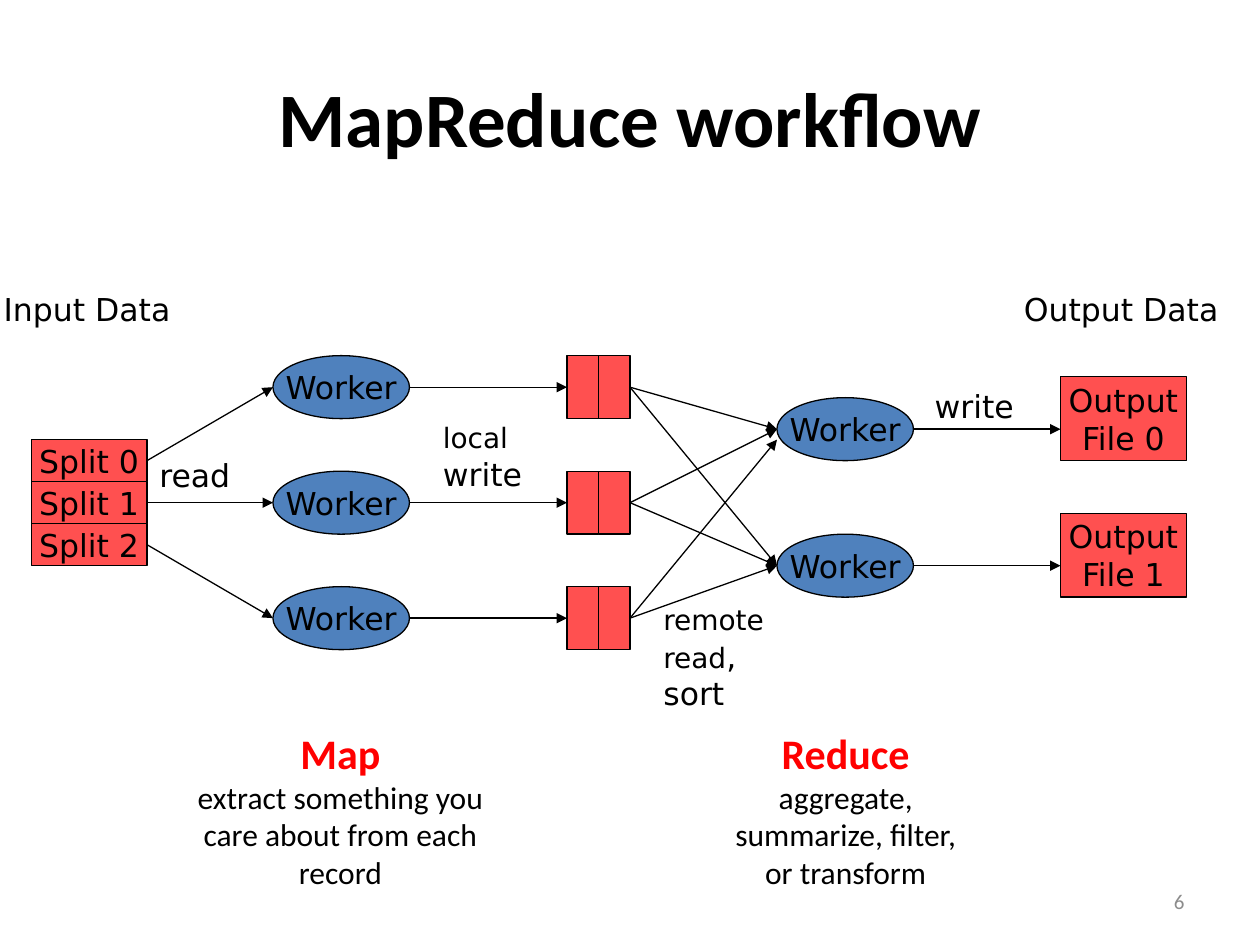
from collections import namedtuple

from lxml.etree import SubElement
from pptx import Presentation
from pptx.dml.color import RGBColor
from pptx.enum.shapes import MSO_CONNECTOR as Connector, MSO_SHAPE as Shape
from pptx.enum.text import MSO_ANCHOR as Anchor, MSO_AUTO_SIZE as AutoSize, PP_ALIGN as Align
from pptx.oxml.ns import qn
from pptx.util import Pt

Box = namedtuple("Box", "left top width height")
BLACK, RED, BLUE, SALMON, GRAY = "000000", "FF0000", "4F81BD", "FF5050", "8C8C8C"
DIAGRAM_FONT, TEXT_FONT = "DejaVu Sans", "Calibri"
LEFT_SIDE, RIGHT_SIDE = 1, 3


def paint(target, color):
    if hasattr(target, "solid"):
        target.solid()
        target.fore_color.rgb = RGBColor.from_string(color)
    else:
        target.color.rgb = RGBColor.from_string(color)


def style(run, size, color=BLACK, font=DIAGRAM_FONT, bold=False):
    run.font.size = Pt(size)
    run.font.name = font
    run.font.bold = bold
    paint(run.font, color)


def add_node(slide, kind, box, fill, caption=""):
    node = slide.shapes.add_shape(kind, *map(Pt, box))
    node.shadow.inherit = False
    paint(node.fill, fill)
    paint(node.line, BLACK)
    node.line.width = Pt(0.75)
    frame = node.text_frame
    frame.text = caption
    frame.word_wrap = False
    frame.vertical_anchor = Anchor.MIDDLE
    for paragraph in frame.paragraphs:
        paragraph.alignment = Align.CENTER
        for run in paragraph.runs:
            style(run, 18)
    return node


def add_text(slide, box, lines, font=DIAGRAM_FONT, align=Align.LEFT, wrap=False):
    frame = slide.shapes.add_textbox(*map(Pt, box)).text_frame
    frame.word_wrap = wrap
    frame.auto_size = AutoSize.SHAPE_TO_FIT_TEXT
    for index, pieces in enumerate(lines):
        paragraph = frame.add_paragraph() if index else frame.paragraphs[0]
        paragraph.alignment = align
        for words, size, color, bold in pieces:
            run = paragraph.add_run()
            run.text = words
            style(run, size, color, font, bold)
    return frame


def plain(words, size=18, color=BLACK):
    return words, size, color, False


def add_arrow(slide, start, end, source=None, target=None):
    arrow = slide.shapes.add_connector(Connector.STRAIGHT, *map(Pt, (*start, *end)))
    if source is not None:
        arrow.begin_connect(source, RIGHT_SIDE)
    if target is not None:
        arrow.end_connect(target, LEFT_SIDE)
    paint(arrow.line, BLACK)
    arrow.line.width = Pt(0.75)
    properties = arrow._element.spPr
    SubElement(properties.find(qn("a:ln")), qn("a:tailEnd"), type="triangle")
    SubElement(properties, qn("a:effectLst"))


def left_middle(shape):
    return shape.left.pt, (shape.top + shape.height / 2) / Pt(1)


def right_middle(shape):
    left, middle = left_middle(shape)
    return left + shape.width.pt, middle


def add_title(slide, box):
    title = slide.shapes.title
    title.left, title.top, title.width, title.height = map(Pt, box)
    title.text_frame.text = "MapReduce workflow"
    title.text_frame.vertical_anchor = Anchor.MIDDLE
    paragraph = title.text_frame.paragraphs[0]
    paragraph.alignment = Align.CENTER
    style(paragraph.runs[0], 44, font=TEXT_FONT, bold=True)


def add_splits(slide, box):
    height = box.height / 3
    return [
        add_node(slide, Shape.RECTANGLE,
                 Box(box.left, box.top + row * height, box.width, height),
                 SALMON, f"Split {row}")
        for row in range(3)
    ]


def add_workers(slide, box, count):
    height = 36
    pitch = (box.height - height) / (count - 1)
    return [
        add_node(slide, Shape.OVAL,
                 Box(box.left, box.top + row * pitch, box.width, height),
                 BLUE, "Worker")
        for row in range(count)
    ]


def add_partitions(slide, box):
    height = 36
    pitch = (box.height - height) / 2
    width = box.width / 2
    return [
        [add_node(slide, Shape.RECTANGLE,
                  Box(box.left + column * width, box.top + row * pitch, width, height),
                  SALMON)
         for column in range(2)]
        for row in range(3)
    ]


def add_outputs(slide, box):
    height = 48
    return [
        add_node(slide, Shape.RECTANGLE,
                 Box(box.left, box.top + row * (box.height - height), box.width, height),
                 SALMON, f"Output\nFile {row}")
        for row in range(2)
    ]


def add_flows(slide, splits, mappers, partitions, reducers, outputs):
    for split, mapper, (first, last) in zip(splits, mappers, partitions):
        add_arrow(slide, right_middle(split), left_middle(mapper), source=split)
        add_arrow(slide, right_middle(mapper), left_middle(first), target=first)
        for reducer in reducers:
            x, y = left_middle(reducer)
            steep_rise = mapper is mappers[-1] and reducer is reducers[0]
            add_arrow(slide, right_middle(last), (x, y + 6 * steep_rise), source=last)
    for reducer, output in zip(reducers, outputs):
        x, y = right_middle(reducer)
        add_arrow(slide, (x, y), (output.left.pt, y))


def add_labels(slide, box):
    labels = [
        (Box(-5, 0, 112, 29), [[plain("Input Data")]]),
        (Box(578, 0, 127, 29), [[plain("Output Data")]]),
        (Box(84, 95, 55, 29), [[plain("read")]]),
        (Box(246, 75, 60, 48), [[plain("local", 16)], [plain("write")]]),
        (Box(372, 179, 73, 71),
         [[plain("remote", 16)], [plain("read", 16), plain(",")], [plain("sort")]]),
        (Box(527, 55.5, 60, 29), [[plain("write")]]),
    ]
    for place, lines in labels:
        moved = place._replace(left=box.left + place.left, top=box.top + place.top)
        add_text(slide, moved, lines)


def add_phase_note(slide, box, lines):
    add_text(slide, box, lines, TEXT_FONT, Align.CENTER, wrap=True)


def add_page_number(slide, box):
    frame = add_text(slide, box, [[plain("6", 12, GRAY)]], TEXT_FONT, Align.RIGHT, wrap=True)
    frame.auto_size = AutoSize.NONE
    frame.vertical_anchor = Anchor.MIDDLE


def main():
    deck = Presentation()
    deck.slide_width, deck.slide_height = Pt(720), Pt(540)
    slide = deck.slides.add_slide(deck.slide_layouts[5])
    add_title(slide, Box(36, 21.6, 648, 90))
    splits = add_splits(slide, Box(18, 251.25, 66, 72))
    mappers = add_workers(slide, Box(156, 203.25, 78, 168), 3)
    partitions = add_partitions(slide, Box(324, 203.25, 36, 168))
    reducers = add_workers(slide, Box(444, 227.25, 78, 114), 2)
    outputs = add_outputs(slide, Box(606, 215.25, 72, 126))
    add_flows(slide, splits, mappers, partitions, reducers, outputs)
    add_labels(slide, Box(0, 162, 720, 250))
    add_phase_note(slide, Box(98.5, 412, 192, 101.5), [
        [("Map", 24, RED, True)],
        [plain("extract something you care about from each record")],
    ])
    add_phase_note(slide, Box(412, 412, 142.5, 101.5), [
        [("Reduce ", 24, RED, True), plain("aggregate, summarize, filter, or transform")],
    ])
    add_page_number(slide, Box(516, 500.5, 168, 28.75))
    deck.save("out.pptx")


if __name__ == "__main__":
    main()
